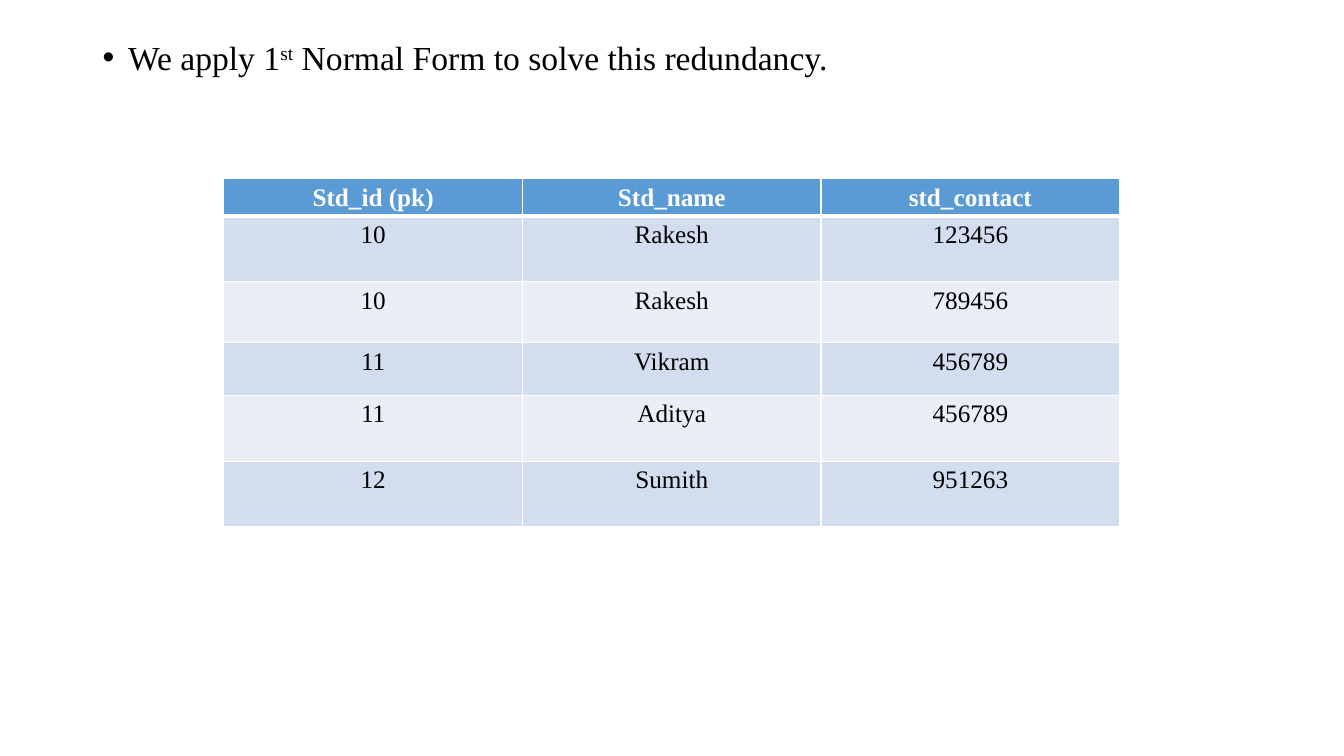
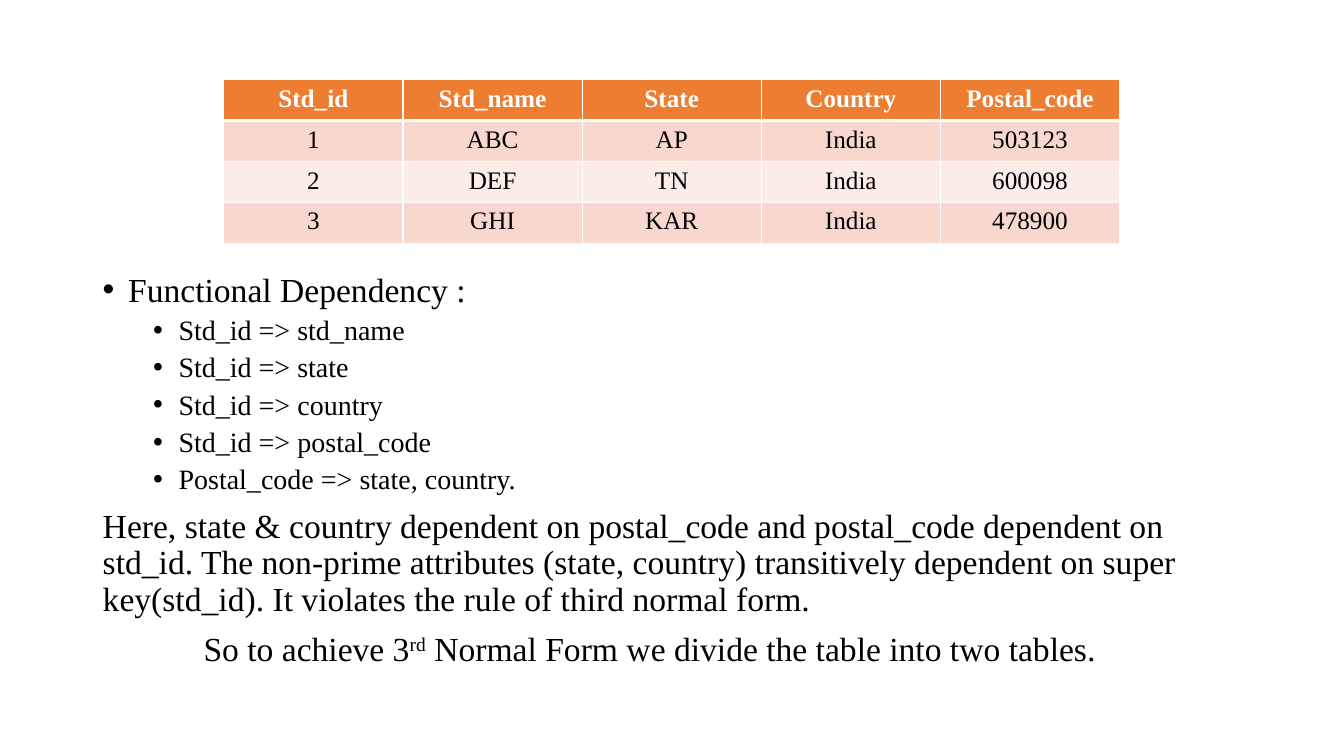
import pptx
import pptx.chart.data
import pptx.dml.color
import pptx.enum.text
import pptx.oxml
import pptx.oxml.ns
import pptx.util
import lxml.etree

Cm = pptx.util.Cm
Pt = pptx.util.Pt
RGBColor = pptx.dml.color.RGBColor
CENTER = pptx.enum.text.PP_ALIGN.CENTER
qn = pptx.oxml.ns.qn

FONT = "Times New Roman"
BLACK = RGBColor(0x00, 0x00, 0x00)
WHITE = RGBColor(0xFF, 0xFF, 0xFF)
BLUES = (RGBColor(0x5B, 0x9B, 0xD5), RGBColor(0xD2, 0xDE, 0xEF), RGBColor(0xEA, 0xEF, 0xF7))
ORANGES = (RGBColor(0xED, 0x7D, 0x31), RGBColor(0xF8, 0xD7, 0xCE), RGBColor(0xFC, 0xEC, 0xE8))

BODY_LEFT = Cm(2.34)
BODY_WIDTH = Cm(29.21)
TABLE_LEFT = Cm(5.64)
TABLE_WIDTH = Cm(22.58)
HANGING = Cm(0.64)

CONTACTS = [
    ("Std_id (pk)", "Std_name", "std_contact"),
    ("10", "Rakesh", "123456"),
    ("10", "Rakesh", "789456"),
    ("11", "Vikram", "456789"),
    ("11", "Aditya", "456789"),
    ("12", "Sumith", "951263"),
]
ADDRESSES = [
    ("Std_id", "Std_name", "State", "Country", "Postal_code"),
    ("1", "ABC", "AP", "India", "503123"),
    ("2", "DEF", "TN", "India", "600098"),
    ("3", "GHI", "KAR", "India", "478900"),
]
DEPENDENCIES = [
    "Std_id => std_name",
    "Std_id => state",
    "Std_id => country",
    "Std_id => postal_code",
    "Postal_code => state, country.",
]
CONCLUSION = (
    "Here, state & country dependent on postal_code and postal_code dependent on std_id. "
    "The non-prime attributes (state, country) transitively dependent on super key(std_id). "
    "It violates the rule of third normal form."
)


def write_spans(para, text, size, color=BLACK, bold=False):
    """Writes text into para; parts between carets are raised."""
    for index, part in enumerate(text.split("^")):
        span = para.add_run()
        span.text = part
        span.font.name = FONT
        span.font.size = Pt(size)
        span.font.bold = bold
        span.font.color.rgb = color
        if index % 2:
            span._r.get_or_add_rPr().set("baseline", "30000")


def add_body(page, top, height):
    box = page.shapes.add_textbox(BODY_LEFT, top, BODY_WIDTH, height)
    box.text_frame.word_wrap = True
    return box.text_frame


def add_para(frame, text, size=24, before=10, indent=0, bullet=False):
    para = frame.paragraphs[0] if not frame.text else frame.add_paragraph()
    para.line_spacing = 0.9
    para.space_before = Pt(before)
    properties = para._p.get_or_add_pPr()
    properties.set("marL", str(int(indent)))
    if bullet:
        properties.set("indent", str(-int(HANGING)))
        lxml.etree.SubElement(properties, qn("a:buFont"), typeface="Arial")
        lxml.etree.SubElement(properties, qn("a:buChar"), char="•")
    write_spans(para, text, size)


def set_borders(cell, top, bottom):
    properties = cell._tc.get_or_add_tcPr()
    widths = {"a:lnL": 1, "a:lnR": 1, "a:lnT": top, "a:lnB": bottom}
    for position, (tag, width) in enumerate(widths.items()):
        line = lxml.etree.Element(qn(tag), w=str(int(Pt(width))))
        fill = lxml.etree.SubElement(line, qn("a:solidFill"))
        lxml.etree.SubElement(fill, qn("a:srgbClr"), val=str(WHITE))
        properties.insert(position, line)


def fill_cell(cell, text, row, colors):
    header = row == 0
    cell.margin_bottom = Cm(0.05)
    cell.fill.solid()
    cell.fill.fore_color.rgb = colors[0] if header else colors[2 - row % 2]
    set_borders(cell, top=3 if row == 1 else 1, bottom=3 if header else 1)
    para = cell.text_frame.paragraphs[0]
    para.alignment = CENTER
    write_spans(para, text, 18, color=WHITE if header else BLACK, bold=header)


def add_data_table(page, rows, top, heights, colors):
    columns = len(rows[0])
    frame = page.shapes.add_table(
        len(rows), columns, TABLE_LEFT, top, TABLE_WIDTH, sum(heights))
    table = frame.table
    for column in table.columns:
        column.width = TABLE_WIDTH // columns
    for row, (values, height) in enumerate(zip(rows, heights)):
        table.rows[row].height = height
        for column, text in enumerate(values):
            fill_cell(table.cell(row, column), text, row, colors)


def build_first_form(page):
    body = add_body(page, Cm(0.91), Cm(16.23))
    add_para(body, "We apply 1^st^ Normal Form to solve this redundancy.",
             indent=HANGING, bullet=True)
    heights = [Cm(height) for height in (0.94, 1.66, 1.54, 1.32, 1.66, 1.66)]
    add_data_table(page, CONTACTS, Cm(4.5), heights, BLUES)


def build_third_form(page):
    body = add_body(page, Cm(6.76), Cm(10.41))
    add_para(body, "Functional Dependency :", indent=HANGING, bullet=True)
    for dependency in DEPENDENCIES:
        add_para(body, dependency, size=20, before=5, indent=Cm(1.91), bullet=True)
    add_para(body, CONCLUSION)
    add_para(body, "So to achieve 3^rd^ Normal Form we divide the table into two tables.",
             indent=Cm(2.54))
    add_data_table(page, ADDRESSES, Cm(2.01), [Cm(1.03)] * len(ADDRESSES), ORANGES)


def main():
    deck = pptx.Presentation()
    deck.slide_width = Cm(33.87)
    deck.slide_height = Cm(19.05)
    for build in (build_first_form, build_third_form):
        build(deck.slides.add_slide(deck.slide_layouts[6]))
    deck.save("out.pptx")


main()
